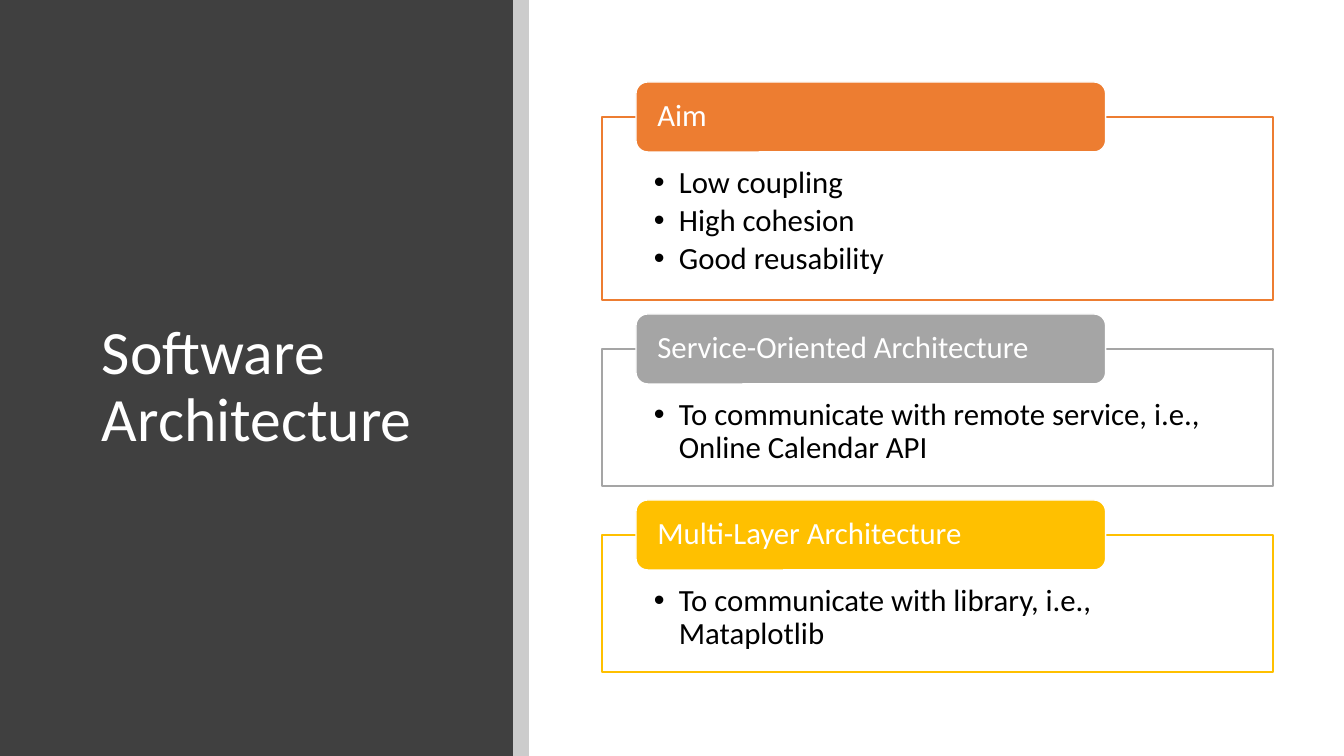
from lxml.etree import SubElement
from pptx import Presentation
from pptx.dml.color import RGBColor
from pptx.enum.shapes import MSO_SHAPE as Shape
from pptx.enum.text import MSO_ANCHOR as Anchor, PP_ALIGN as Align
from pptx.oxml.ns import qn
from pptx.util import Pt

EMU_PER_PX = 914400 / 100.8
FONT = "Calibri"
CARD_GAP = 14
LABEL_HEIGHT = 70
CARDS = [
    ("Aim", "ED7D31", 183, ["Low coupling", "High cohesion", "Good reusability"]),
    ("Service-Oriented Architecture", "A5A5A5", 137,
     ["To communicate with remote service, i.e., Online Calendar API"]),
    ("Multi-Layer Architecture", "FFC000", 137,
     ["To communicate with library, i.e., Mataplotlib"]),
]


def px(length):
    return round(length * EMU_PER_PX)


def paint(color_format, color):
    color_format.rgb = RGBColor.from_string(color)


def add_block(slide, kind, left, top, width, height, fill, opacity=100, line=None):
    block = slide.shapes.add_shape(kind, px(left), px(top), px(width), px(height))
    block.shadow.inherit = False
    block.fill.solid()
    paint(block.fill.fore_color, fill)
    if opacity < 100:
        color = block.fill._xPr.find(qn("a:solidFill"))[0]
        SubElement(color, qn("a:alpha"), val=str(opacity * 1000))
    if line:
        paint(block.line.color, line)
        block.line.width = Pt(1)
    else:
        block.line.fill.background()
    return block


def write(shape, lines, size=22, color="000000", anchor=Anchor.MIDDLE,
          insets=(10, 5, 10, 5), space_after=0, bullet_indent=0):
    frame = shape.text_frame
    frame.word_wrap = True
    frame.vertical_anchor = anchor
    (frame.margin_left, frame.margin_top,
     frame.margin_right, frame.margin_bottom) = map(px, insets)
    frame.text = "\n".join(lines)
    for paragraph in frame.paragraphs:
        paragraph.alignment = Align.LEFT
        paragraph.line_spacing = 0.9
        paragraph.space_before = Pt(0)
        paragraph.space_after = Pt(space_after)
        font = paragraph.runs[0].font
        font.name, font.size = FONT, Pt(size)
        paint(font.color, color)
        if bullet_indent:
            props = paragraph._p.get_or_add_pPr()
            props.set("marL", str(px(bullet_indent)))
            props.set("indent", str(-px(bullet_indent)))
            SubElement(props, qn("a:buFont"), typeface="Arial")
            SubElement(props, qn("a:buChar"), char="•")


def add_title_panel(slide, left, top, width, height):
    panel = add_block(slide, Shape.RECTANGLE, left, top, width, height, "404040")
    add_block(slide, Shape.RECTANGLE, left + width, top, 16, height, "000000", opacity=20)
    title = slide.shapes.title
    title.left, title.top = px(left + 92), px(top + 90)
    title.width, title.height = px(368), px(596)
    write(title, ["Software Architecture"], size=44, color="FFFFFF")
    panel._element.addnext(title._element)


def add_card(slide, left, top, width, height, label, color, points):
    frame = add_block(slide, Shape.RECTANGLE, left, top + LABEL_HEIGHT // 2,
                      width, height, "FFFFFF", opacity=90, line=color)
    write(frame, points, anchor=Anchor.TOP, insets=(52, 50, 52, 17),
          space_after=3.3, bullet_indent=25)
    tab = add_block(slide, Shape.ROUNDED_RECTANGLE, left + 34, top,
                    width * 0.7, LABEL_HEIGHT, color, line="FFFFFF")
    write(tab, [label], color="FFFFFF", insets=(18, 0, 18, 0))


def add_cards(slide, left, top, width):
    for label, color, height, points in CARDS:
        add_card(slide, left, top, width, height, label, color, points)
        top += LABEL_HEIGHT // 2 + height + CARD_GAP


def main():
    deck = Presentation()
    deck.slide_width, deck.slide_height = px(1344), px(756)
    slide = deck.slides.add_slide(deck.slide_layouts[5])
    add_title_panel(slide, 0, 0, 513, 756)
    add_cards(slide, 602, 82, 671)
    deck.save("out.pptx")


if __name__ == "__main__":
    main()
